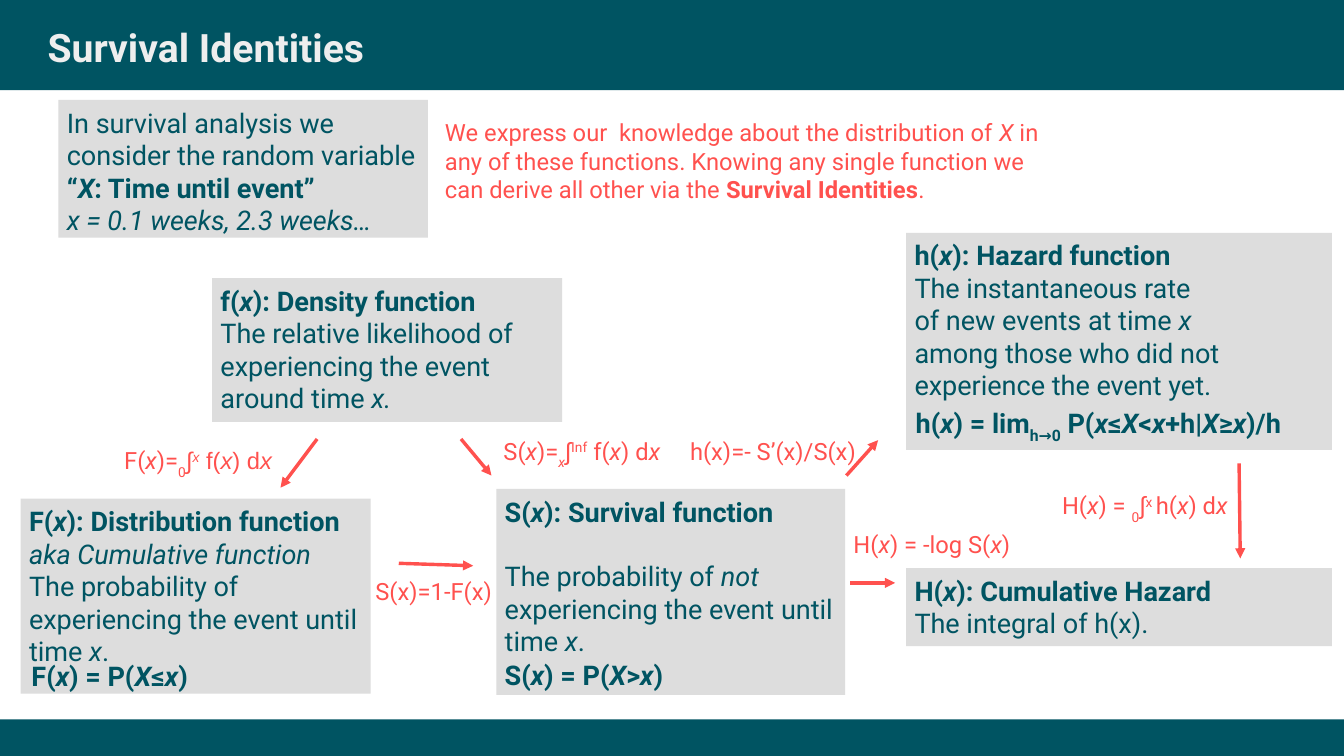
from lxml.etree import SubElement
from pptx import Presentation
from pptx.dml.color import RGBColor
from pptx.enum.shapes import MSO_CONNECTOR, MSO_SHAPE
from pptx.enum.text import MSO_ANCHOR, MSO_AUTO_SIZE
from pptx.oxml.ns import qn
from pptx.util import Inches, Pt

TEAL, GREY, CORAL, WHITE = "005462", "DDDDDD", "FF514E", "EEEEEE"

# left, top, width, height, lines
PANELS = [
    (0.48, 0.82, 3.03, 1.13, [
        "In survival analysis we",
        "consider the random variable",
        "#“*X*: Time until event”#",
        "*x = 0.1 weeks, 2.3 weeks…*"]),
    (4.07, 4.01, 2.86, 1.69, [
        "#S(*x*): Survival function#",
        "The probability of *not*",
        "experiencing the event until",
        "time *x*."]),
    (7.43, 1.91, 3.49, 1.78, [
        "#h(*x*): Hazard function#",
        "The instantaneous rate",
        "of new events at time *x*",
        "among those who did not",
        "experience the event yet."]),
    (1.74, 2.28, 2.87, 1.18, [
        "#f(*x*): Density function#",
        "The relative likelihood of",
        "experiencing the event",
        "around time *x.*"]),
    (0.17, 4.09, 2.87, 1.6, [
        "#F(*x*): Distribution function#",
        "*aka Cumulative function*",
        "The probability of",
        "experiencing the event until",
        "time *x*."]),
    (7.43, 4.66, 3.49, 0.64, [
        "#H(*x*): Cumulative Hazard#",
        "The integral of h(x)."]),
]
DEFINITIONS = [
    (4.04, 5.35, 2.88, 0.36, "#S(*x*) = P(*X*>*x*)#"),
    (7.41, 3.28, 3.41, 0.41, "#h(*x*) = lim_h→0_ P(*x*≤*X*<*x*+h|*X*≥*x*)/h#"),
    (0.16, 5.36, 2.68, 0.36, "#F(*x*) = P(*X*≤*x*)#"),
]
IDENTITIES = [
    (0.92, 3.61, 1.48, 0.4, "F(*x*)=_0_~∫^*x*^ f(*x*) d*x*~"),
    (4.03, 3.53, 1.57, 0.4, "S(*x*)=_*x*_∫^Inf^ f(*x*) d*x*"),
    (5.56, 3.53, 1.57, 0.4, "h(x)=- S’(x)/S(x)"),
    (2.98, 4.68, 1.3, 0.4, "S(x)=1-F(x)"),
    (6.9, 4.3, 1.57, 0.4, "H(*x*) = -log S(*x*)"),
    (8.61, 3.98, 1.79, 0.4, "H(*x*) = _0_∫^x ^h(*x*) d*x*"),
    (3.55, 0.92, 5.25, 0.79,
     "We express our  knowledge about the distribution of *X* in any of these "
     "functions. Knowing any single function we can derive all other via the "
     "#Survival Identities#."),
]
# from x, from y, to x, to y
ARROWS = [
    (2.6, 3.6, 2.3, 4), (3.27, 4.62, 3.88, 4.64), (3.78, 3.6, 4.03, 3.9),
    (6.97, 4.78, 7.34, 4.78), (10.16, 3.8, 10.17, 4.58), (6.94, 3.9, 7.2, 3.61),
]


def rgb(value):
    return RGBColor.from_string(value)


def split_marks(text):
    """Yield (piece, active marks): * italic, # bold, _ sub, ^ super, ~ Arial."""
    active, piece = set(), ""
    for ch in text:
        if ch in "*#_^~":
            if piece:
                yield piece, set(active)
            active ^= {ch}
            piece = ""
        else:
            piece += ch
    if piece:
        yield piece, set(active)


def write(p, text, size=16, color=TEAL, font="Roboto"):
    for piece, marks in split_marks(text):
        r = p.add_run()
        r.text = piece
        r.font.size = Pt(size)
        r.font.name = "Arial" if "~" in marks else font
        r.font.bold = "#" in marks
        r.font.italic = "*" in marks
        r.font.color.rgb = rgb(color)
        if marks & {"_", "^"}:
            r._r.get_or_add_rPr().set("baseline", "-33000" if "_" in marks else "33000")


class Deck:
    def __init__(self, width, height):
        self.prs = Presentation()
        self.prs.slide_width, self.prs.slide_height = Inches(width), Inches(height)
        self.s = self.prs.slides.add_slide(self.prs.slide_layouts[6])

    def rect(self, *box, fill):
        sp = self.s.shapes.add_shape(MSO_SHAPE.RECTANGLE, *map(Inches, box))
        sp.shadow.inherit = False
        sp.fill.solid()
        sp.fill.fore_color.rgb = rgb(fill)
        sp.line.fill.background()

    def text(self, *box, lines, wrap=False, **style):
        tf = self.s.shapes.add_textbox(*map(Inches, box)).text_frame
        tf.word_wrap = wrap
        tf.auto_size = MSO_AUTO_SIZE.SHAPE_TO_FIT_TEXT
        for i, line in enumerate(lines):
            p = tf.add_paragraph() if i else tf.paragraphs[0]
            write(p, line, **style)
        return tf

    def title(self, *box, text):
        tf = self.text(*box, lines=[text], wrap=True, size=23.1, color=WHITE)
        tf.auto_size = MSO_AUTO_SIZE.NONE
        tf.vertical_anchor = MSO_ANCHOR.MIDDLE
        tf.margin_left = tf.margin_right = tf.margin_top = tf.margin_bottom = 0

    def panel(self, x, y, w, h, lines):
        self.rect(x, y, w, h, fill=GREY)
        return self.text(x - 0.03, y, w + 0.03, h, lines=lines)

    def arrow(self, *ends):
        c = self.s.shapes.add_connector(MSO_CONNECTOR.STRAIGHT, *map(Inches, ends))
        c.line.color.rgb = rgb(CORAL)
        c.line.width = Pt(0)
        SubElement(c.line._get_or_add_ln(), qn("a:tailEnd"), type="triangle")
        SubElement(c._element.spPr, qn("a:effectLst"))


def main():
    deck = Deck(11.02, 6.2)
    deck.rect(0, 5.9, 11.02, 0.3, fill=TEAL)
    deck.rect(0, 0, 11.02, 0.74, fill=TEAL)
    deck.title(0.39, -0.01, 10.23, 0.79, text="#Survival Identities#")
    for *box, lines in PANELS:
        tf = deck.panel(*box, lines)
        if "Survival function" in lines[0]:
            tf.paragraphs[1].space_before = Pt(19)
    for *box, formula in DEFINITIONS:
        deck.text(*box, lines=[formula])
    for *box, label in IDENTITIES:
        deck.text(*box, lines=[label], wrap=True, size=14, color=CORAL)
    for ends in ARROWS:
        deck.arrow(*ends)
    deck.prs.save("out.pptx")


if __name__ == "__main__":
    main()
